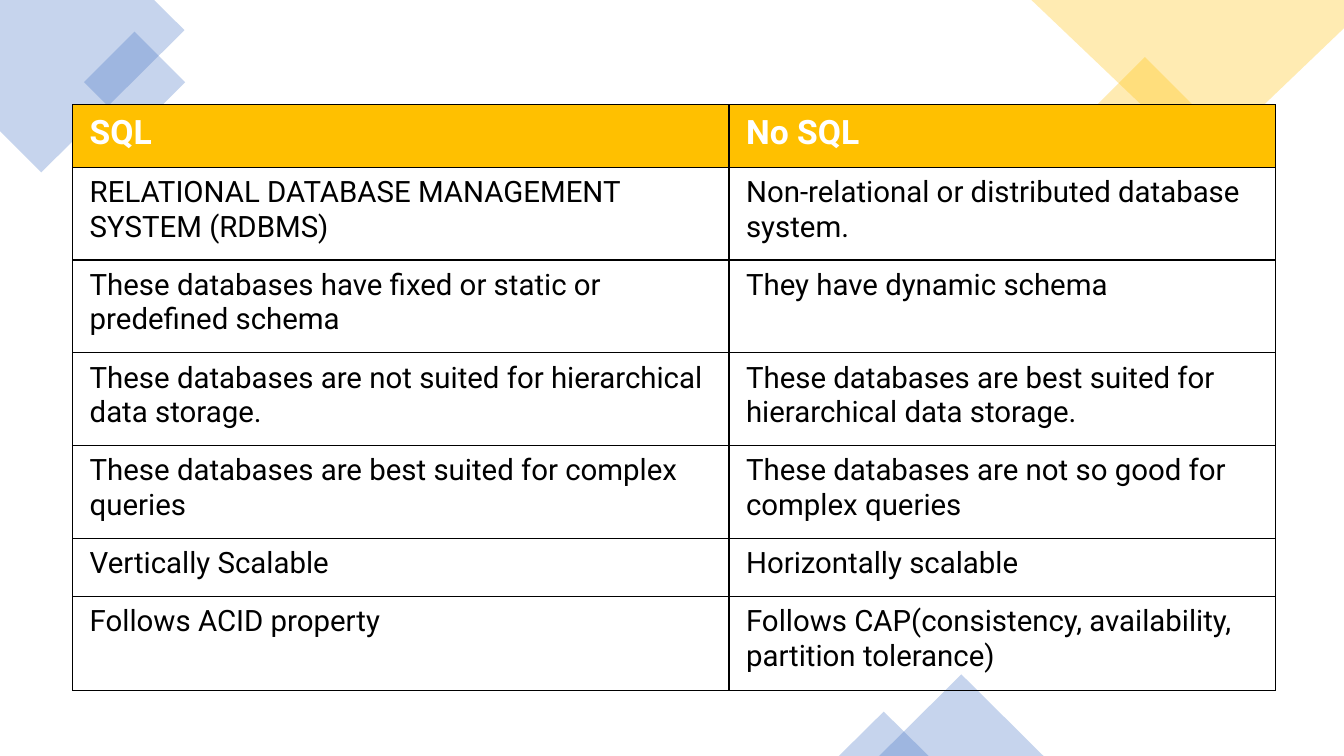
from lxml import etree
from pptx import Presentation
from pptx.dml.color import RGBColor
from pptx.enum.shapes import MSO_SHAPE
from pptx.oxml.ns import qn
from pptx.util import Inches, Pt

RECT = MSO_SHAPE.RECTANGLE
TRIANGLE = MSO_SHAPE.ISOSCELES_TRIANGLE
BLUE, YELLOW, BLACK, WHITE = "4472C4", "FFC000", "000000", "FFFFFF"

ROWS = [
    ("SQL", "No SQL"),
    ("RELATIONAL DATABASE MANAGEMENT SYSTEM (RDBMS)",
     "Non-relational or distributed database system."),
    ("These databases have fixed or static or predefined schema",
     "They have dynamic schema"),
    ("These databases are not suited for hierarchical data storage.",
     "These databases are best suited for hierarchical data storage."),
    ("These databases are best suited for complex queries",
     "These databases are not so good for complex queries"),
    ("Vertically Scalable", "Horizontally scalable"),
    ("Follows ACID property",
     "Follows CAP(consistency, availability, partition tolerance)"),
]
COL_WIDTHS = [6.51, 5.42]
ROW_HEIGHTS = [0.62, 0.92, 0.92, 0.92, 0.92, 0.58, 0.93]


def rgb(color):
    return RGBColor.from_string(color)


def write(tf, text, size=21, color=BLACK, bold=False, font="Roboto"):
    r = tf.paragraphs[0].add_run()
    r.text = text
    r.font.name = font
    r.font.size = Pt(size)
    r.font.bold = bold
    r.font.color.rgb = rgb(color)


class Deck:
    """Holds the slide and the shared style of its elements."""
    opacity = 30
    border = 1
    margin_x, margin_y = 0.17, 0.08

    def __init__(self, prs):
        self.s = prs.slides.add_slide(prs.slide_layouts[6])

    def tint(self, sp, color):
        sp.shadow.inherit = False
        sp.line.fill.background()
        sp.fill.solid()
        sp.fill.fore_color.rgb = rgb(color)
        clr = sp.fill._xPr.find(qn("a:solidFill"))[0]
        etree.SubElement(clr, qn("a:alpha"), val=str(self.opacity * 1000))

    def shape(self, kind, x, y, w, h, color, rotation=0):
        sp = self.s.shapes.add_shape(kind, *map(Inches, (x, y, w, h)))
        sp.rotation = rotation
        self.tint(sp, color)

    def polygon(self, points, color):
        points = [(Inches(x), Inches(y)) for x, y in points]
        builder = self.s.shapes.build_freeform(*points[0])
        builder.add_line_segments(points[1:], close=True)
        self.tint(builder.convert_to_shape(), color)

    def borders(self, cell):
        tc_pr = cell._tc.get_or_add_tcPr()
        for i, side in enumerate(("lnL", "lnR", "lnT", "lnB")):
            ln = etree.Element(qn("a:" + side), w=str(Pt(self.border)))
            fill = etree.SubElement(ln, qn("a:solidFill"))
            etree.SubElement(fill, qn("a:srgbClr"), val=BLACK)
            tc_pr.insert(i, ln)

    def table(self, x, y, rows, widths, heights):
        frame = self.s.shapes.add_table(
            len(rows), len(widths), Inches(x), Inches(y),
            Inches(sum(widths)), Inches(sum(heights)))
        table = frame.table
        table.horz_banding = False
        for col, width in zip(table.columns, widths):
            col.width = Inches(width)
        for i, (row, height) in enumerate(zip(table.rows, heights)):
            row.height = Inches(height)
            for cell, text in zip(row.cells, rows[i]):
                cell.margin_left = cell.margin_right = Inches(self.margin_x)
                cell.margin_top = cell.margin_bottom = Inches(self.margin_y)
                if i == 0:
                    cell.fill.solid()
                    cell.fill.fore_color.rgb = rgb(YELLOW)
                    write(cell.text_frame, text, size=24, color=WHITE, bold=True)
                else:
                    cell.fill.background()
                    write(cell.text_frame, text)
                self.borders(cell)


def main():
    prs = Presentation()
    prs.slide_width, prs.slide_height = Inches(13.33), Inches(7.5)
    deck = Deck(prs)

    # Corner decoration, top left
    deck.polygon([(1.53, 0), (0, 0), (0, 1.3), (0.41, 1.71), (1.83, 0.3)], BLUE)
    deck.shape(RECT, 0.98, 0.46, 0.71, 0.71, BLUE, rotation=315)

    # Corner decoration, top right
    deck.shape(RECT, 10.98, 0.72, 0.75, 0.75, YELLOW, rotation=315)
    deck.polygon([(13.33, 0), (10.23, 0), (11.93, 1.62), (13.33, 0.28)], YELLOW)

    # Triangles on the bottom edge
    deck.shape(TRIANGLE, 8.72, 6.69, 1.63, 0.81, BLUE)
    deck.shape(TRIANGLE, 8.32, 7.06, 0.89, 0.44, BLUE)

    # Comparison table
    deck.table(0.72, 1.04, ROWS, COL_WIDTHS, ROW_HEIGHTS)

    prs.save("out.pptx")


if __name__ == "__main__":
    main()
